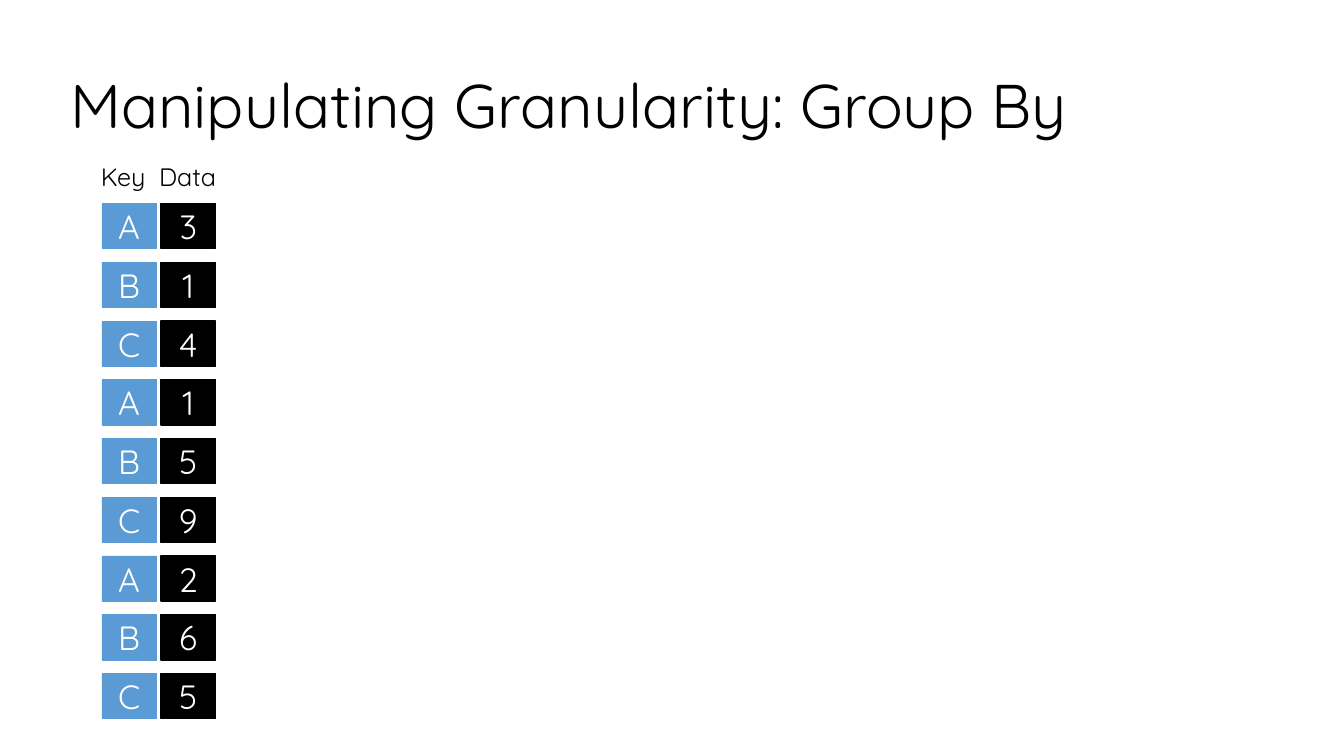
from dataclasses import dataclass

from pptx import Presentation
from pptx.dml.color import RGBColor
from pptx.enum.shapes import MSO_SHAPE
from pptx.enum.text import MSO_ANCHOR, MSO_AUTO_SIZE, PP_ALIGN
from pptx.slide import Slide
from pptx.text.text import _Paragraph
from pptx.util import Cm, Pt


@dataclass(frozen=True)
class Theme:
    font: str = "Quicksand"
    title_size: int = 44
    label_size: int = 18
    cell_size: int = 24
    black: RGBColor = RGBColor(0x00, 0x00, 0x00)
    white: RGBColor = RGBColor(0xFF, 0xFF, 0xFF)
    blue: RGBColor = RGBColor(0x5B, 0x9B, 0xD5)


THEME = Theme()


@dataclass(frozen=True)
class Column:
    """A heading above a stack of cells; lengths are in centimetres."""

    heading: str
    heading_left: float
    heading_width: float
    cell_left: float
    color: RGBColor
    line_width: float
    values: str


COLUMNS = (
    Column("Key", 2.29, 1.65, 2.57, THEME.blue, 0.5, "ABCABCABC"),
    Column("Data", 3.76, 2.08, 4.06, THEME.black, 1, "314159265"),
)
HEADING_TOP, HEADING_HEIGHT = 3.94, 1.02
CELL_WIDTH, CELL_HEIGHT = 1.37, 1.14
FIRST_ROW_TOP, ROW_PITCH = 5.13, 1.48


def write(paragraph: _Paragraph, text: str, size: int, color: RGBColor) -> None:
    paragraph.text = text
    paragraph.font.name = THEME.font
    paragraph.font.size = Pt(size)
    paragraph.font.color.rgb = color


def add_title(slide: Slide, text: str) -> None:
    title = slide.shapes.add_textbox(Cm(1.52), Cm(0.89), Cm(30), Cm(3.68))
    frame = title.text_frame
    frame.word_wrap = True
    frame.vertical_anchor = MSO_ANCHOR.MIDDLE
    paragraph = frame.paragraphs[0]
    paragraph.line_spacing = 0.9
    write(paragraph, text, THEME.title_size, THEME.black)


def add_heading(slide: Slide, column: Column) -> None:
    heading = slide.shapes.add_textbox(
        Cm(column.heading_left), Cm(HEADING_TOP),
        Cm(column.heading_width), Cm(HEADING_HEIGHT),
    )
    frame = heading.text_frame
    frame.word_wrap = False
    frame.auto_size = MSO_AUTO_SIZE.SHAPE_TO_FIT_TEXT
    write(frame.paragraphs[0], column.heading, THEME.label_size, THEME.black)


def add_cell(slide: Slide, column: Column, row: int, value: str) -> None:
    cell = slide.shapes.add_shape(
        MSO_SHAPE.RECTANGLE,
        Cm(column.cell_left), Cm(FIRST_ROW_TOP + row * ROW_PITCH),
        Cm(CELL_WIDTH), Cm(CELL_HEIGHT),
    )
    cell.shadow.inherit = False
    cell.fill.solid()
    cell.fill.fore_color.rgb = column.color
    cell.line.color.rgb = column.color
    cell.line.width = Pt(column.line_width)
    cell.text_frame.vertical_anchor = MSO_ANCHOR.MIDDLE
    paragraph = cell.text_frame.paragraphs[0]
    paragraph.alignment = PP_ALIGN.CENTER
    write(paragraph, value, THEME.cell_size, THEME.white)


def main() -> None:
    presentation = Presentation()
    presentation.slide_width = Cm(33.87)
    presentation.slide_height = Cm(19.05)
    slide = presentation.slides.add_slide(presentation.slide_layouts[6])

    add_title(slide, "Manipulating Granularity: Group By")
    for column in COLUMNS:
        add_heading(slide, column)
        for row, value in enumerate(column.values):
            add_cell(slide, column, row, value)

    presentation.save("out.pptx")


if __name__ == "__main__":
    main()
